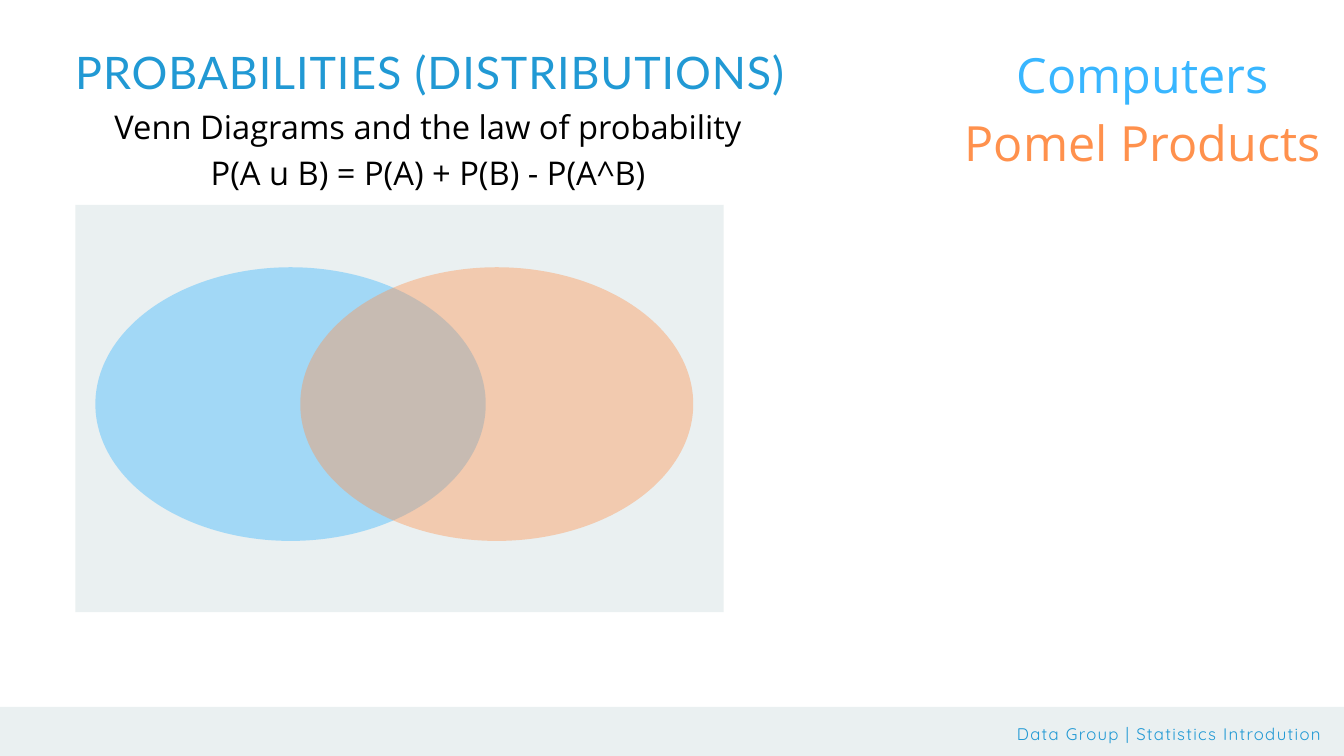
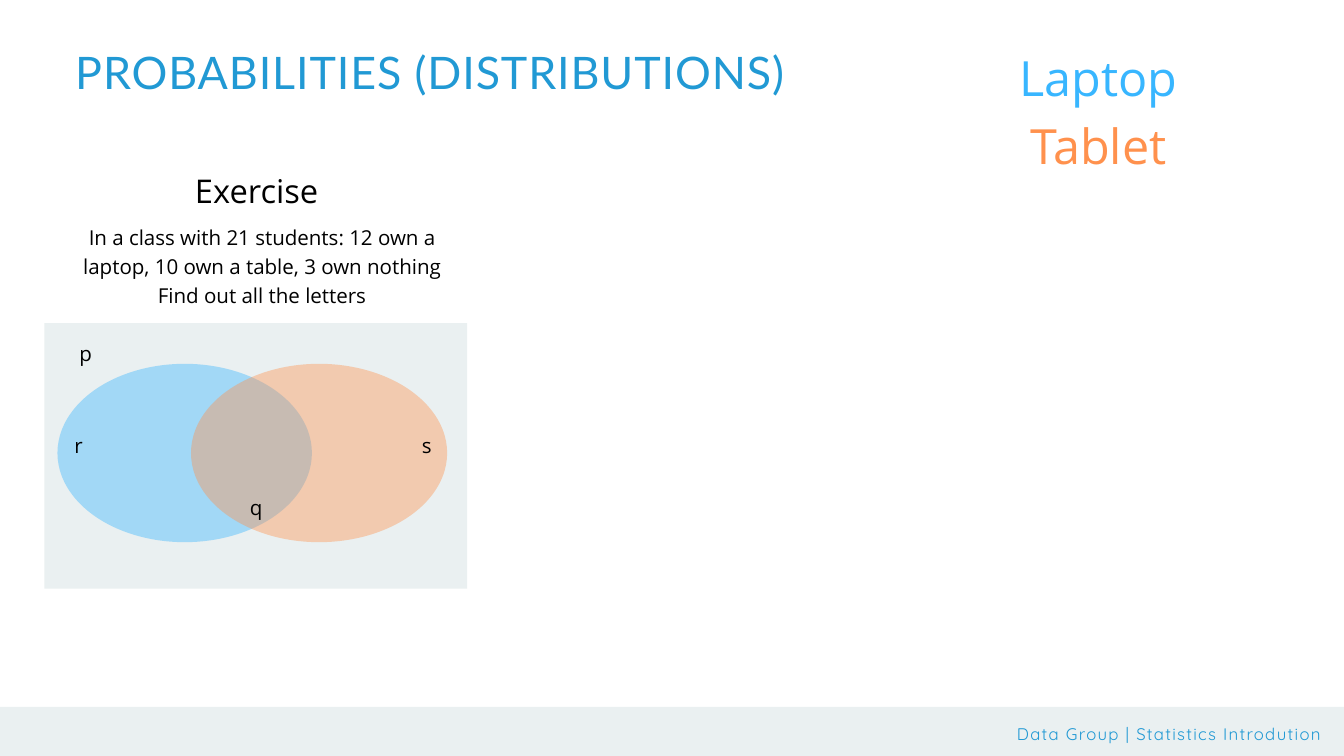
from dataclasses import dataclass
from typing import NamedTuple

from lxml import etree
from pptx import Presentation
from pptx.dml import color
from pptx.enum import shapes, text
from pptx.oxml import ns
from pptx.shapes.autoshape import Shape
from pptx.slide import Slide
from pptx.util import Inches, Pt

SLIDE_WIDTH, SLIDE_HEIGHT = Inches(20), Inches(11.25)
COLUMNS, ROWS = 80, 45
LEFT, CENTER, RIGHT = text.PP_ALIGN.LEFT, text.PP_ALIGN.CENTER, text.PP_ALIGN.RIGHT


class Area(NamedTuple):
    column: float
    row: float
    columns: float
    rows: float

    def inner(self, left: float, top: float, width: float, height: float) -> "Area":
        return Area(
            self.column + self.columns * left / 100,
            self.row + self.rows * top / 100,
            self.columns * width / 100,
            self.rows * height / 100,
        )

    def lengths(self) -> tuple[int, int, int, int]:
        across, down = SLIDE_WIDTH / COLUMNS, SLIDE_HEIGHT / ROWS
        return (
            round(self.column * across),
            round(self.row * down),
            round(self.columns * across),
            round(self.rows * down),
        )


@dataclass(frozen=True)
class TextStyle:
    font: str
    size: float
    leading: float
    color: str
    align: text.PP_ALIGN = CENTER
    tracking: float = 0


@dataclass(frozen=True)
class Theme:
    panel: str = "EAF0F1"
    first_set: str = "38B6FF"
    second_set: str = "FF914D"
    set_opacity: int = 40
    title: TextStyle = TextStyle("Lato", 48, 57.6, "2199D4", LEFT, 1)
    footer: TextStyle = TextStyle("Quicksand", 18, 25.2, "2199D4", RIGHT, 1.4)
    heading: TextStyle = TextStyle("Open Sans", 35, 49, "000000")
    left_heading: TextStyle = TextStyle("Open Sans", 35, 49, "000000", LEFT)
    body: TextStyle = TextStyle("Open Sans", 22, 30.8, "000000")
    legend: TextStyle = TextStyle("Open Sans", 52, 72.8, "000000")


class Line(NamedTuple):
    wording: str
    color: str | None = None


@dataclass(frozen=True)
class TextBlock:
    area: Area
    style: TextStyle
    lines: tuple[Line, ...]


@dataclass(frozen=True)
class VennPage:
    venn: Area
    blocks: tuple[TextBlock, ...]


THEME = Theme()
BAND = Area(-1.08, 42.08, 82.24, 3.96)
FIRST_SET = (3.1, 15.3, 60.2, 67.2)
SECOND_SET = (34.7, 15.3, 60.6, 67.2)


def block(area: Area, style: TextStyle, *wordings: str) -> TextBlock:
    return TextBlock(area, style, tuple(Line(wording) for wording in wordings))


def legend(column: float, row: float, first: str, second: str) -> TextBlock:
    lines = (Line(first, THEME.first_set), Line(second, THEME.second_set))
    return TextBlock(Area(column, row, 21.32, 7.92), THEME.legend, lines)


def letter(column: float, row: float, wording: str, columns: float = 2.48) -> TextBlock:
    return block(Area(column, row, columns, 1.64), THEME.body, wording)


SHARED_BLOCKS = (
    block(Area(29.4, 42.88, 49.24, 1.32), THEME.footer, "Data Group | Statistics Introdution"),
    block(Area(4.48, 2.68, 51.88, 3.16), THEME.title, "PROBABILITIES (DISTRIBUTIONS)"),
)

PAGES = (
    VennPage(
        Area(4.48, 12.2, 38.6, 24.24),
        (
            block(
                Area(6.2, 6, 38.6, 5.32),
                THEME.heading,
                "Venn Diagrams and the law of probability",
                "P(A u B) = P(A) + P(B) - P(A^B)",
            ),
            legend(57.36, 2.12, "Computers", "Pomel Products"),
        ),
    ),
    VennPage(
        Area(2.64, 19.24, 25.16, 15.8),
        (
            block(Area(11.6, 9.76, 24.24, 2.6), THEME.left_heading, "Exercise"),
            legend(54.72, 2.28, "Laptop", "Tablet"),
            block(
                Area(4.48, 13.16, 22.24, 5.04),
                THEME.body,
                "In a class with 21 students: 12 own a laptop, 10 own a table, 3 own nothing",
                "Find out all the letters",
            ),
            letter(2.64, 20.04, "p", columns=4.92),
            letter(3.44, 25.52, "r"),
            letter(24.16, 25.52, "s"),
            letter(14, 29.24, "q"),
        ),
    ),
)


def apply(target: object, values: dict[str, object]) -> None:
    for name, value in values.items():
        setattr(target, name, value)


def draw_shape(
    page: Slide, kind: shapes.MSO_SHAPE, area: Area, fill: str, opacity: int = 100
) -> Shape:
    shape = page.shapes.add_shape(kind, *area.lengths())
    shape.shadow.inherit = False
    shape.fill.solid()
    shape.fill.fore_color.rgb = color.RGBColor.from_string(fill)
    shape.line.fill.background()
    if opacity < 100:
        paint = shape._element.spPr.find(f"{ns.qn('a:solidFill')}/{ns.qn('a:srgbClr')}")
        etree.SubElement(paint, ns.qn("a:alpha"), val=str(opacity * 1000))
    return shape


def draw_text(page: Slide, content: TextBlock) -> None:
    style = content.style
    frame = page.shapes.add_textbox(*content.area.lengths()).text_frame
    margins = dict.fromkeys(
        ("margin_left", "margin_top", "margin_right", "margin_bottom"), 0
    )
    fit = {"word_wrap": True, "auto_size": text.MSO_AUTO_SIZE.SHAPE_TO_FIT_TEXT}
    apply(frame, margins | fit)
    for index, line in enumerate(content.lines):
        para = frame.add_paragraph() if index else frame.paragraphs[0]
        apply(para, {"alignment": style.align, "line_spacing": Pt(style.leading)})
        span = para.add_run()
        span.text = line.wording
        apply(span.font, {"name": style.font, "size": Pt(style.size)})
        span.font.color.rgb = color.RGBColor.from_string(line.color or style.color)
        if style.tracking:
            span._r.get_or_add_rPr().set("spc", str(round(style.tracking * 100)))


def draw_venn(page: Slide, area: Area) -> None:
    draw_shape(page, shapes.MSO_SHAPE.RECTANGLE, area, THEME.panel)
    for place, fill in ((FIRST_SET, THEME.first_set), (SECOND_SET, THEME.second_set)):
        draw_shape(
            page, shapes.MSO_SHAPE.OVAL, area.inner(*place), fill, THEME.set_opacity
        )


def main() -> None:
    deck = Presentation()
    apply(deck, {"slide_width": SLIDE_WIDTH, "slide_height": SLIDE_HEIGHT})
    for venn_page in PAGES:
        page = deck.slides.add_slide(deck.slide_layouts[6])
        draw_shape(page, shapes.MSO_SHAPE.RECTANGLE, BAND, THEME.panel)
        draw_venn(page, venn_page.venn)
        for content in SHARED_BLOCKS + venn_page.blocks:
            draw_text(page, content)
    deck.save("out.pptx")


if __name__ == "__main__":
    main()
